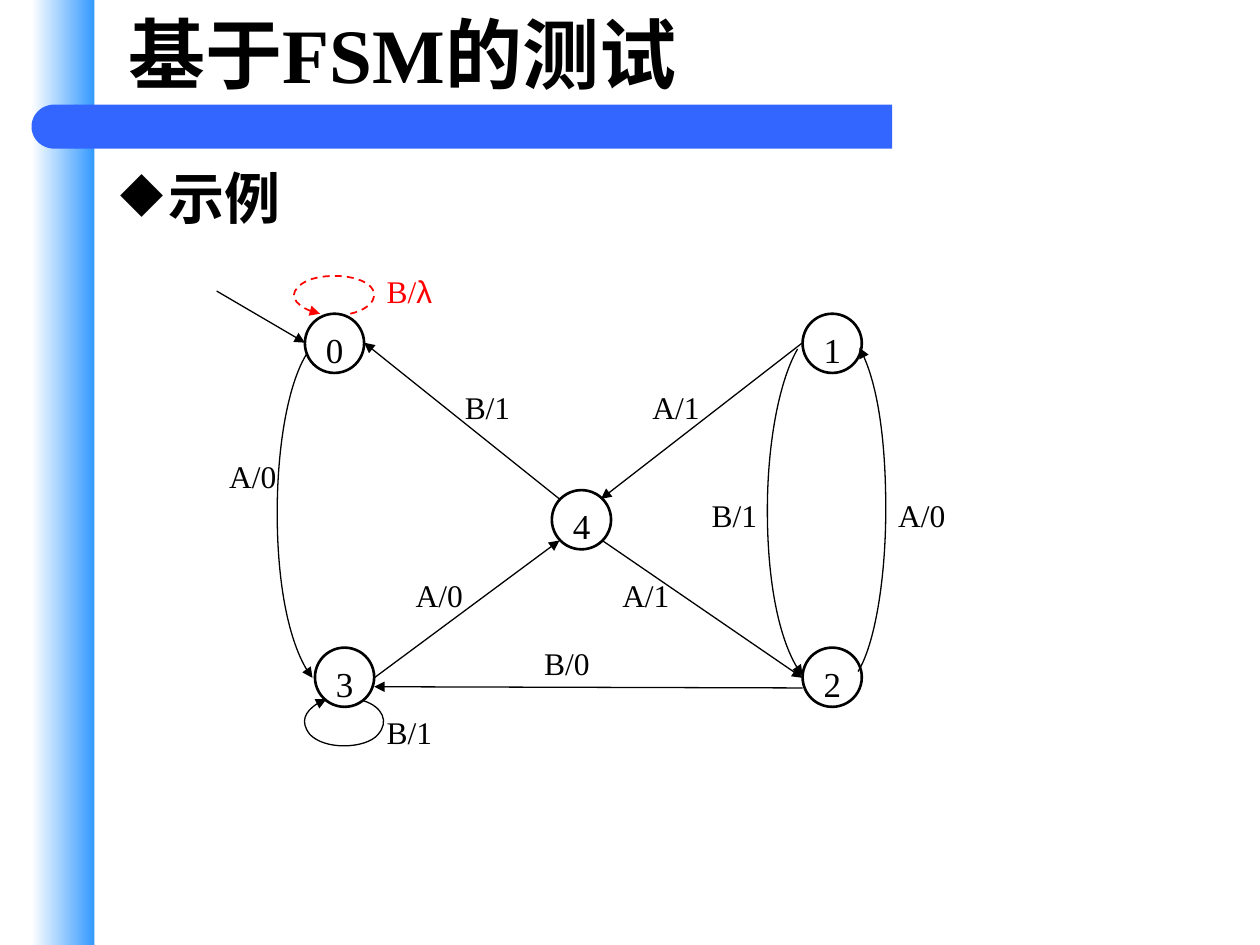
from dataclasses import dataclass
from typing import Optional

from lxml.etree import SubElement
from pptx import Presentation
from pptx.dml.color import RGBColor
from pptx.enum.dml import MSO_LINE_DASH_STYLE as Dash
from pptx.enum.shapes import MSO_CONNECTOR as Connector
from pptx.enum.shapes import MSO_SHAPE as Preset
from pptx.enum.text import MSO_ANCHOR as Anchor
from pptx.enum.text import PP_ALIGN as Align
from pptx.oxml.ns import qn
from pptx.util import Inches, Pt

BLACK = RGBColor(0, 0, 0)
RED = RGBColor(255, 0, 0)
WHITE = RGBColor(255, 255, 255)
SKY = RGBColor(0x33, 0x99, 0xFF)
BLUE = RGBColor(0x33, 0x66, 0xFF)
SERIF = "Times New Roman"
NODE_SIZE = 0.47


@dataclass
class Node:
    name: str
    left: float
    top: float


@dataclass
class Label:
    text: str
    left: float
    top: float


@dataclass
class Edge:
    start: tuple[float, float]
    end: tuple[float, float]


@dataclass
class Curve:
    points: list[tuple[float, float]]
    color: RGBColor = BLACK
    width: float = 0.75
    dash: Optional[Dash] = None


NODES = [
    Node("0", 2.42, 2.49), Node("3", 2.5, 5.14), Node("2", 6.37, 5.14),
    Node("4", 4.38, 3.89), Node("1", 6.37, 2.49),
]
EDGES = [
    Edge((1.72, 2.31), (2.42, 2.72)), Edge((4.44, 3.96), (2.89, 2.72)),
    Edge((2.97, 5.38), (4.44, 4.29)), Edge((6.37, 2.72), (4.77, 3.96)),
    Edge((4.78, 4.29), (6.37, 5.38)), Edge((6.37, 5.46), (2.97, 5.45)),
]
CURVES = [
    Curve([(2.78, 2.49), (2.96, 2.45), (3.03, 2.33), (2.91, 2.25),
           (2.85, 2.21), (2.75, 2.19), (2.66, 2.19),
           (2.55, 2.19), (2.46, 2.21), (2.4, 2.25),
           (2.28, 2.33), (2.35, 2.45), (2.54, 2.49)], RED, 1, Dash.DASH),
    Curve([(2.44, 2.8), (2.29, 3.03), (2.2, 3.53), (2.2, 4.07),
           (2.2, 4.66), (2.32, 5.19), (2.48, 5.38)]),
    Curve([(6.33, 2.77), (6.19, 3.01), (6.09, 3.5), (6.09, 4.05),
           (6.09, 4.64), (6.21, 5.17), (6.37, 5.36)]),
    Curve([(6.81, 5.33), (6.94, 5.12), (7.03, 4.61), (7.03, 4.04),
           (7.03, 3.48), (6.95, 2.98), (6.82, 2.76)]),
    Curve([(2.88, 5.56), (3.04, 5.61), (3.09, 5.73), (3, 5.83),
           (2.95, 5.89), (2.84, 5.92), (2.73, 5.92),
           (2.62, 5.92), (2.52, 5.89), (2.46, 5.83),
           (2.38, 5.73), (2.43, 5.61), (2.59, 5.55)]),
]
LABELS = [
    Label("A/0", 1.72, 3.58), Label("B/1", 3.59, 3.03), Label("A/1", 5.08, 3.03),
    Label("B/1", 5.55, 3.89), Label("A/0", 7.03, 3.89), Label("A/1", 4.84, 4.52),
    Label("A/0", 3.2, 4.52), Label("B/0", 4.22, 5.06), Label("B/1", 2.97, 5.61),
]


def write_text(shape, text: str, *, size: float, font: str = SERIF,
               color: RGBColor = BLACK, bold: bool = False,
               align: Align = Align.LEFT, anchor: Anchor = Anchor.TOP) -> None:
    frame = shape.text_frame
    frame.word_wrap = True
    frame.vertical_anchor = anchor
    paragraph = frame.paragraphs[0]
    paragraph.alignment = align
    run = paragraph.add_run()
    run.text = text
    run.font.size = Pt(size)
    run.font.name = font
    run.font.bold = bold
    run.font.color.rgb = color
    SubElement(run.font._element, qn("a:ea"), typeface=font)


def add_box(slide, left: float, top: float, width: float, height: float):
    return slide.shapes.add_textbox(Inches(left), Inches(top), Inches(width), Inches(height))


def add_preset(slide, preset: Preset, left: float, top: float, width: float, height: float):
    shape = slide.shapes.add_shape(
        preset, Inches(left), Inches(top), Inches(width), Inches(height))
    shape.shadow.inherit = False
    shape.line.fill.background()
    return shape


def add_bullet(paragraph, indent: float) -> None:
    properties = paragraph._p.get_or_add_pPr()
    properties.set("marL", str(Inches(indent)))
    properties.set("indent", str(-Inches(indent)))
    SubElement(properties, qn("a:buChar"), char="◆")


def style_arrow(line, color: RGBColor, width: float) -> None:
    line.color.rgb = color
    line.width = Pt(width)
    SubElement(line._get_or_add_ln(), qn("a:tailEnd"), type="triangle")


def draw_node(slide, node: Node) -> None:
    circle = add_preset(slide, Preset.OVAL, node.left, node.top, NODE_SIZE, NODE_SIZE)
    circle.fill.background()
    circle.line.color.rgb = BLACK
    circle.line.width = Pt(1.5)
    write_text(circle, node.name, size=20, align=Align.CENTER)


def draw_edge(slide, edge: Edge) -> None:
    ends = [Inches(value) for value in edge.start + edge.end]
    connector = slide.shapes.add_connector(Connector.STRAIGHT, *ends)
    style_arrow(connector.line, BLACK, 0.75)
    SubElement(connector._element.spPr, qn("a:effectLst"))


def draw_curve(slide, curve: Curve) -> None:
    points = [(Inches(x), Inches(y)) for x, y in curve.points]
    builder = slide.shapes.build_freeform(*points[0])
    builder.add_line_segments(points[1:], close=False)
    shape = builder.convert_to_shape()
    shape.shadow.inherit = False
    shape.fill.background()
    outline = next(shape._element.iter(qn("a:path")))
    segments = outline.findall(qn("a:lnTo"))
    for first in range(0, len(segments), 3):
        bezier = SubElement(outline, qn("a:cubicBezTo"))
        for segment in segments[first:first + 3]:
            bezier.append(segment[0])
            outline.remove(segment)
    if curve.dash is not None:
        shape.line.dash_style = curve.dash
    style_arrow(shape.line, curve.color, curve.width)


def draw_label(slide, label: Label, color: RGBColor = BLACK):
    box = add_box(slide, label.left, label.top, 0.62, 0.4)
    write_text(box, label.text, size=18, color=color)
    return box


def draw_background(slide) -> None:
    stripe = add_preset(slide, Preset.RECTANGLE, 0.25, 0, 0.5, 7.5)
    stripe.fill.gradient()
    stripe.fill.gradient_angle = 0
    for stop, color in zip(stripe.fill.gradient_stops, (WHITE, SKY)):
        stop.color.rgb = color
    bar = add_preset(slide, Preset.ROUNDED_RECTANGLE, 0.6, 0.83, 6.48, 0.35)
    bar.adjustments[0] = 0
    cap = add_preset(slide, Preset.FLOWCHART_DELAY, 0.25, 0.83, 0.36, 0.35)
    cap.rotation = 180
    for shape in (bar, cap):
        shape.fill.solid()
        shape.fill.fore_color.rgb = BLUE


def main() -> None:
    presentation = Presentation()
    presentation.slide_width = Inches(10)
    presentation.slide_height = Inches(7.5)
    slide = presentation.slides.add_slide(presentation.slide_layouts[6])
    draw_background(slide)
    title = add_box(slide, 0.92, 0, 8.67, 0.83)
    for text, font in (("基于", "Lato"), ("FSM", SERIF), ("的测试", "Lato")):
        write_text(title, text, size=44, font=font, bold=True, anchor=Anchor.MIDDLE)
    heading = add_box(slide, 0.86, 1.25, 8.92, 0.78)
    add_bullet(heading.text_frame.paragraphs[0], 0.38)
    write_text(heading, "示例", size=32, font="Noto Sans CJK JP", bold=True)
    for node in NODES:
        draw_node(slide, node)
    for curve in CURVES:
        draw_curve(slide, curve)
    for edge in EDGES:
        draw_edge(slide, edge)
    for label in LABELS:
        draw_label(slide, label)
    loop_label = draw_label(slide, Label("B/", 2.97, 2.11), RED)
    write_text(loop_label, "λ", size=18, font="Arial", color=RED)
    presentation.save("out.pptx")


if __name__ == "__main__":
    main()
